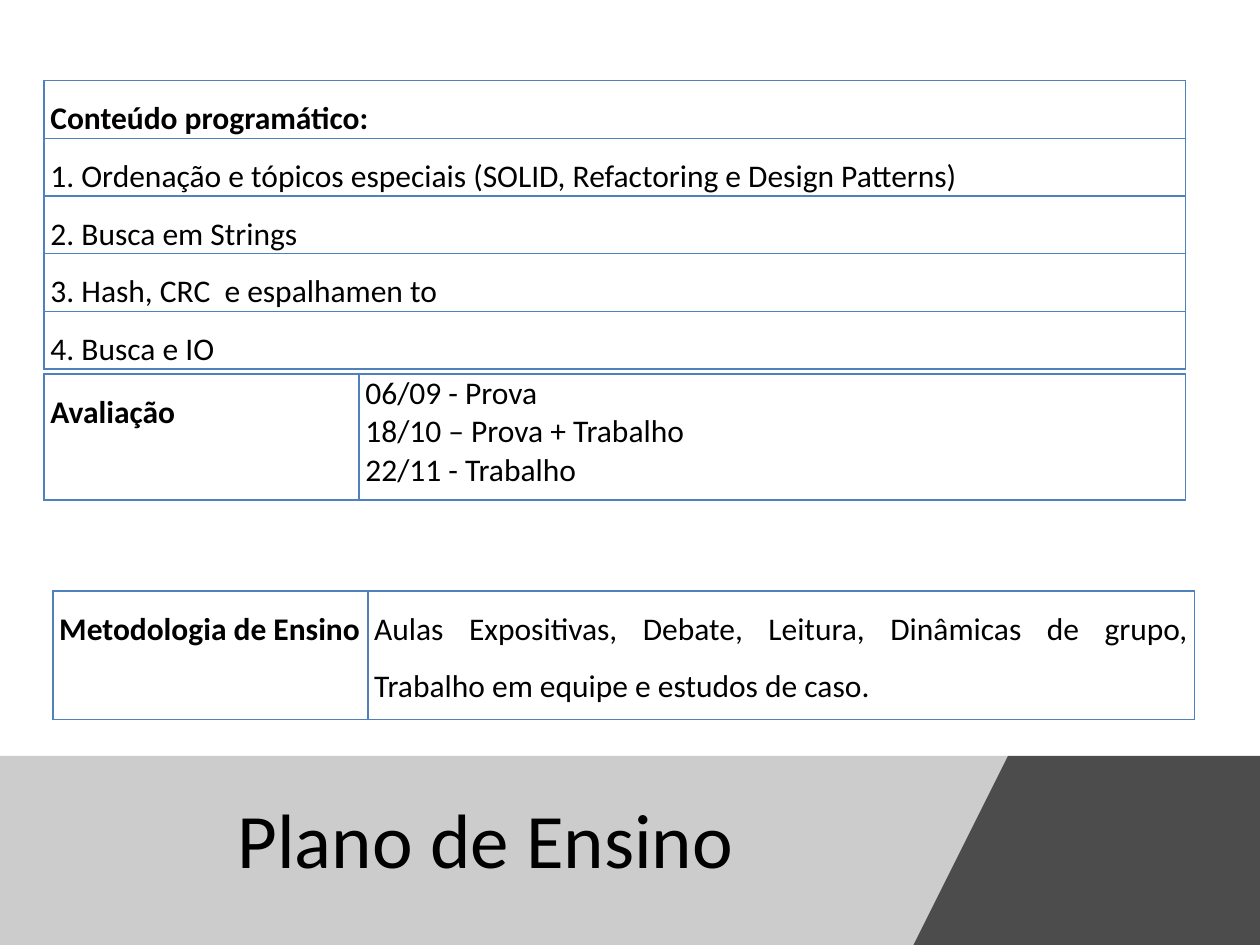
from lxml import etree
from pptx import Presentation
from pptx.dml.color import RGBColor
from pptx.enum.text import MSO_ANCHOR, PP_ALIGN
from pptx.oxml import parse_xml
from pptx.oxml.ns import nsdecls, qn
from pptx.util import Inches, Pt

JUSTIFY, LEFT, CENTER = PP_ALIGN.JUSTIFY, PP_ALIGN.LEFT, PP_ALIGN.CENTER
TOP, MIDDLE = MSO_ANCHOR.TOP, MSO_ANCHOR.MIDDLE
WIDTH, HEIGHT, BAND_TOP = 10, 7.5, 5.87
LABEL_WIDTH, DETAIL_WIDTH = 2.5, 6.56
FULL_WIDTH = LABEL_WIDTH + DETAIL_WIDTH


def color(value):
    return RGBColor.from_string(value)


def style(paragraph, size, bold, align):
    paragraph.alignment = align
    paragraph.font.name = "Calibri"
    paragraph.font.size = Pt(size)
    paragraph.font.bold = bold
    paragraph.font.color.rgb = color("000000")


prs = Presentation()
prs.slide_width, prs.slide_height = Inches(WIDTH), Inches(HEIGHT)
slide = prs.slides.add_slide(prs.slide_layouts[5])
shapes = slide.shapes

bands = [
    ("808080", 40, [(0, BAND_TOP), (7.51, BAND_TOP), (6.95, HEIGHT), (0, HEIGHT)]),
    ("000000", 70, [(7.75, BAND_TOP), (WIDTH, BAND_TOP), (WIDTH, HEIGHT), (7.19, HEIGHT)]),
]
for fill, opacity, corners in bands:
    outline = shapes.build_freeform(*corners[0], scale=Inches(1))
    outline.add_line_segments(corners[1:], close=True)
    band = outline.convert_to_shape()
    band.shadow.inherit = False
    band.line.fill.background()
    band.fill.solid()
    band.fill.fore_color.rgb = color(fill)
    tint = band.fill._xPr.find(".//" + qn("a:srgbClr"))
    etree.SubElement(tint, qn("a:alpha")).set("val", str(opacity * 1000))

title = shapes.title
title.left, title.top = Inches(0.69), Inches(6.05)
title.width, title.height = Inches(6.33), Inches(1.2)
title.text_frame.text = "Plano de Ensino"
title.text_frame.vertical_anchor = MIDDLE
style(title.text_frame.paragraphs[0], 44, False, CENTER)
shapes._spTree.append(title._element)

topics = [
    "Conteúdo programático:",
    "1. Ordenação e tópicos especiais (SOLID, Refactoring e Design Patterns)",
    "2. Busca em Strings",
    "3. Hash, CRC  e espalhamen to",
    "4. Busca e IO",
]
methods = ("Aulas Expositivas, Debate, Leitura, Dinâmicas de grupo, "
           "Trabalho em equipe e estudos de caso.")
exams = "06/09 - Prova\n18/10 – Prova + Trabalho\n22/11 - Trabalho"
sections = [
    (0.35, 0.64, [FULL_WIDTH], 0.43, MIDDLE, [[topic] for topic in topics]),
    (0.42, 4.69, [LABEL_WIDTH, DETAIL_WIDTH], 1.02, TOP, [["Metodologia de Ensino", methods]]),
    (0.35, 2.97, [LABEL_WIDTH, DETAIL_WIDTH], 1, TOP, [["Avaliação", exams]]),
]
for left, top, columns, row_height, anchor, rows in sections:
    table = shapes.add_table(
        len(rows), len(columns), Inches(left), Inches(top),
        Inches(FULL_WIDTH), Inches(row_height * len(rows))).table
    table.first_row = table.horz_banding = False
    for column, width in zip(table.columns, columns):
        column.width = Inches(width)
    for r, row in enumerate(rows):
        for c, words in enumerate(row):
            cell = table.cell(r, c)
            cell.text = words
            cell.vertical_anchor = anchor
            cell.margin_left = cell.margin_right = Inches(0.05)
            cell.margin_top = cell.margin_bottom = 0
            for paragraph in cell.text_frame.paragraphs:
                is_exam = words == exams
                style(paragraph, 18, r == c == 0, LEFT if is_exam else JUSTIFY)
                if not is_exam:
                    paragraph.line_spacing = 1.5
                    paragraph.space_before = Pt(6)
            properties = cell._tc.get_or_add_tcPr()
            for side in ("lnL", "lnR", "lnT", "lnB"):
                properties.append(parse_xml(
                    f'<a:{side} {nsdecls("a")} w="12700"><a:solidFill>'
                    f'<a:srgbClr val="4F81BD"/></a:solidFill></a:{side}>'))
            cell.fill.background()

prs.save("out.pptx")
